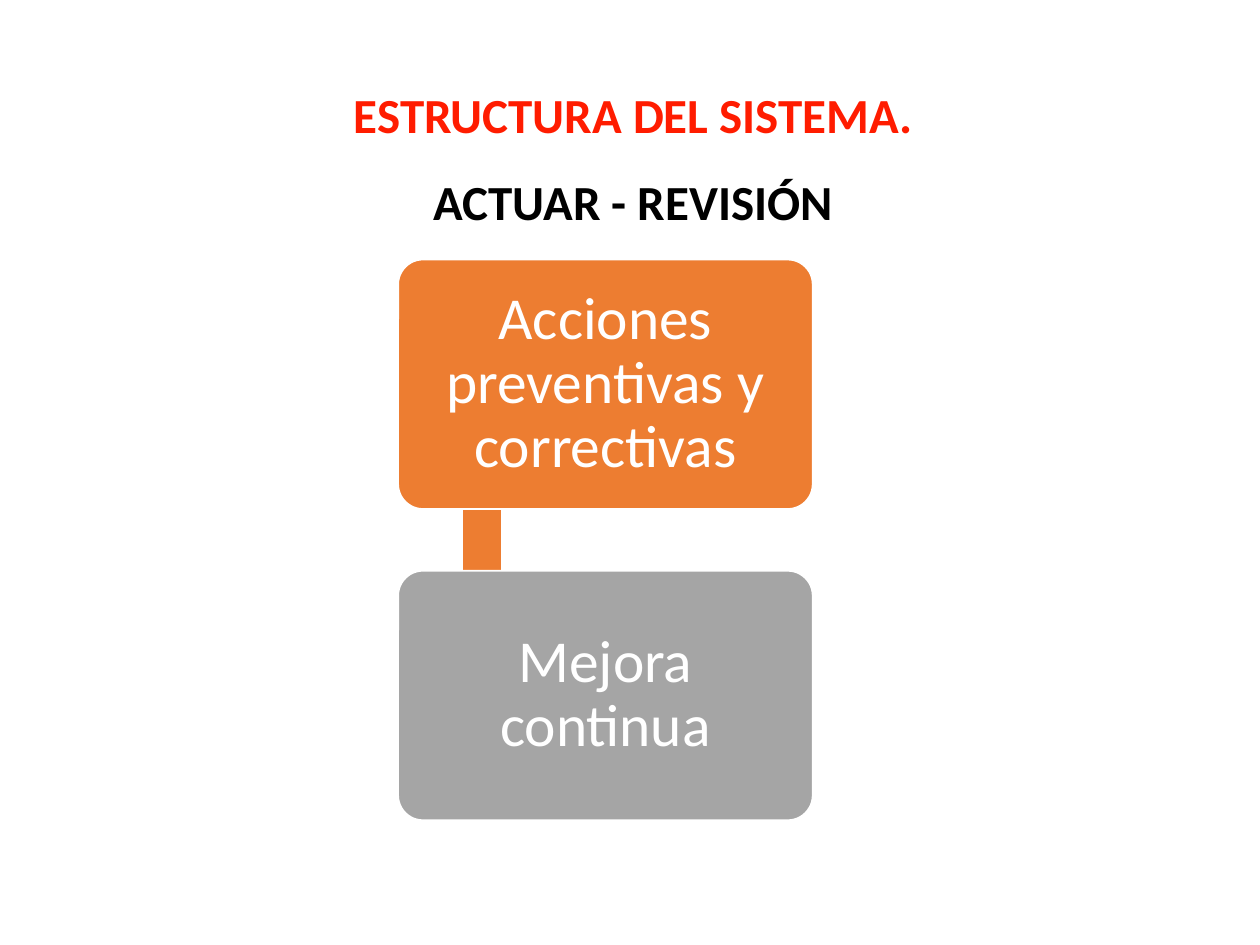
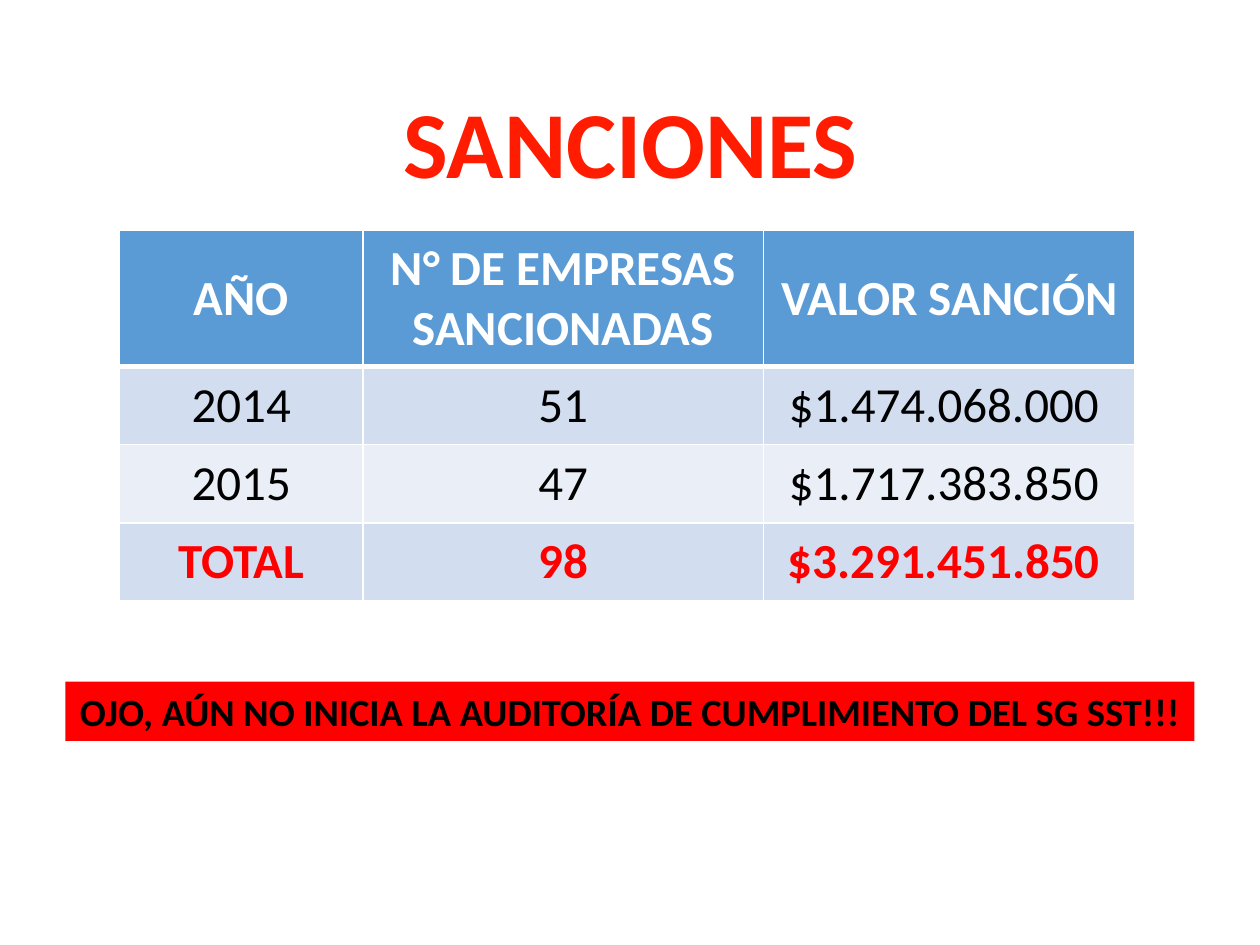
from dataclasses import dataclass

from lxml import etree
from pptx import Presentation
from pptx.dml.color import RGBColor
from pptx.enum.shapes import MSO_SHAPE
from pptx.enum.text import MSO_ANCHOR, PP_ALIGN
from pptx.oxml.ns import qn
from pptx.util import Inches, Pt

RECT = MSO_SHAPE.RECTANGLE
ROUND_RECT = MSO_SHAPE.ROUNDED_RECTANGLE
MIDDLE = MSO_ANCHOR.MIDDLE
CENTER = PP_ALIGN.CENTER


@dataclass(frozen=True)
class Theme:
    font: str = "Calibri"
    title: str = "FF1C00"
    black: str = "000000"
    white: str = "FFFFFF"
    red: str = "FF0000"
    orange: str = "ED7D31"
    gray: str = "A5A5A5"
    header: str = "5B9BD5"
    band_dark: str = "D2DEEF"
    band_light: str = "EAEFF7"
    size_title: int = 54
    size_step: int = 34
    size_body: int = 28
    size_notice: int = 22


THEME = Theme()


@dataclass(frozen=True)
class Box:
    left: float
    top: float
    width: float
    height: float

    def emu(self) -> tuple:
        return tuple(map(Inches, (self.left, self.top, self.width, self.height)))


@dataclass(frozen=True)
class Step:
    text: str
    fill: str


@dataclass(frozen=True)
class RowStyle:
    fill: str
    color: str
    bold: bool


# Shared drawing
def write(tf, text: str, size: int, color: str, bold: bool = False) -> None:
    tf.word_wrap = True
    p = tf.paragraphs[0]
    p.text = text
    p.alignment = CENTER
    p.font.name = THEME.font
    p.font.size = Pt(size)
    p.font.bold = bold
    p.font.color.rgb = RGBColor.from_string(color)


def add_heading(slide, box: Box, text: str, size: int, color: str) -> None:
    tb = slide.shapes.add_textbox(*box.emu())
    write(tb.text_frame, text, size, color, bold=True)


def add_block(slide, kind, box: Box, fill: str):
    sp = slide.shapes.add_shape(kind, *box.emu())
    sp.shadow.inherit = False
    sp.fill.solid()
    sp.fill.fore_color.rgb = RGBColor.from_string(fill)
    sp.line.fill.background()
    return sp


def set_border(cell, side: str, width: int) -> None:
    ln = etree.SubElement(cell._tc.get_or_add_tcPr(), qn(f"a:ln{side}"), w=str(Pt(width)))
    fill = etree.SubElement(ln, qn("a:solidFill"))
    etree.SubElement(fill, qn("a:srgbClr"), val=THEME.white)


# Slide 1: steps joined by a bar
STEPS = (
    Step("Acciones preventivas y correctivas", THEME.orange),
    Step("Mejora continua", THEME.gray),
)
STEP_BOX = Box(3.16, 2.06, 3.29, 1.98)
STEP_PITCH = 2.47


def add_step(slide, step: Step, index: int) -> None:
    box = Box(STEP_BOX.left, STEP_BOX.top + index * STEP_PITCH,
              STEP_BOX.width, STEP_BOX.height)
    sp = add_block(slide, ROUND_RECT, box, step.fill)
    sp.adjustments[0] = 0.1
    sp.line.color.rgb = RGBColor.from_string(THEME.white)
    sp.line.width = Pt(1)
    tf = sp.text_frame
    tf.vertical_anchor = MIDDLE
    tf.margin_left = tf.margin_right = tf.margin_top = tf.margin_bottom = Inches(0.14)
    write(tf, step.text, THEME.size_step, THEME.white)
    tf.paragraphs[0].line_spacing = 0.9


def build_structure(prs) -> None:
    slide = prs.slides.add_slide(prs.slide_layouts[6])
    bar = add_block(slide, RECT, Box(2.6, 3.63, 2.45, 0.3), THEME.orange)
    bar.rotation = 90
    for i, step in enumerate(STEPS):
        add_step(slide, step, i)
    add_heading(slide, Box(0.79, 0.62, 8.47, 0.57), "ESTRUCTURA DEL SISTEMA.",
                THEME.size_body, THEME.title)
    add_heading(slide, Box(0.79, 1.31, 8.47, 0.57), "ACTUAR - REVISIÓN",
                THEME.size_body, THEME.black)


# Slide 2: table of sanctions
SANCTIONS = (
    ("AÑO", "N° DE EMPRESAS SANCIONADAS", "VALOR SANCIÓN"),
    ("2014", "51", "$1.474.068.000 "),
    ("2015", "47", "$1.717.383.850 "),
    ("TOTAL", "98", "$3.291.451.850 "),
)
ROW_STYLES = (
    RowStyle(THEME.header, THEME.white, True),
    RowStyle(THEME.band_dark, THEME.black, False),
    RowStyle(THEME.band_light, THEME.black, False),
    RowStyle(THEME.band_dark, THEME.red, True),
)
COL_WIDTHS = (1.93, 3.18, 2.95)
ROW_HEIGHTS = (1.08, 0.62, 0.62, 0.62)


def fill_cell(cell, text: str, style: RowStyle, row: int) -> None:
    # The rule under the header is thicker than the rest
    widths = {"L": 1, "R": 1, "T": 3 if row == 1 else 1, "B": 3 if row == 0 else 1}
    for side, width in widths.items():
        set_border(cell, side, width)
    cell.fill.solid()
    cell.fill.fore_color.rgb = RGBColor.from_string(style.fill)
    cell.vertical_anchor = MIDDLE
    write(cell.text_frame, text, THEME.size_body, style.color, style.bold)


def add_sanctions_table(slide) -> None:
    box = Box(0.95, 1.83, sum(COL_WIDTHS), sum(ROW_HEIGHTS))
    table = slide.shapes.add_table(len(SANCTIONS), len(COL_WIDTHS), *box.emu()).table
    for col, width in zip(table.columns, COL_WIDTHS):
        col.width = Inches(width)
    for row, height in zip(table.rows, ROW_HEIGHTS):
        row.height = Inches(height)
    for r, (values, style) in enumerate(zip(SANCTIONS, ROW_STYLES)):
        for c, value in enumerate(values):
            fill_cell(table.cell(r, c), value, style, r)


def build_sanctions(prs) -> None:
    slide = prs.slides.add_slide(prs.slide_layouts[6])
    add_heading(slide, Box(0.28, 0.62, 9.45, 1.01), "SANCIONES",
                THEME.size_title, THEME.title)
    add_sanctions_table(slide)
    notice = add_block(slide, RECT, Box(0.52, 5.41, 8.96, 0.47), THEME.red)
    write(notice.text_frame,
          "OJO, AÚN NO INICIA LA AUDITORÍA DE CUMPLIMIENTO DEL SG SST!!!",
          THEME.size_notice, THEME.black, bold=True)


def main() -> None:
    prs = Presentation()
    prs.slide_width, prs.slide_height = Inches(10), Inches(7.5)
    build_structure(prs)
    build_sanctions(prs)
    prs.save("out.pptx")


if __name__ == "__main__":
    main()
